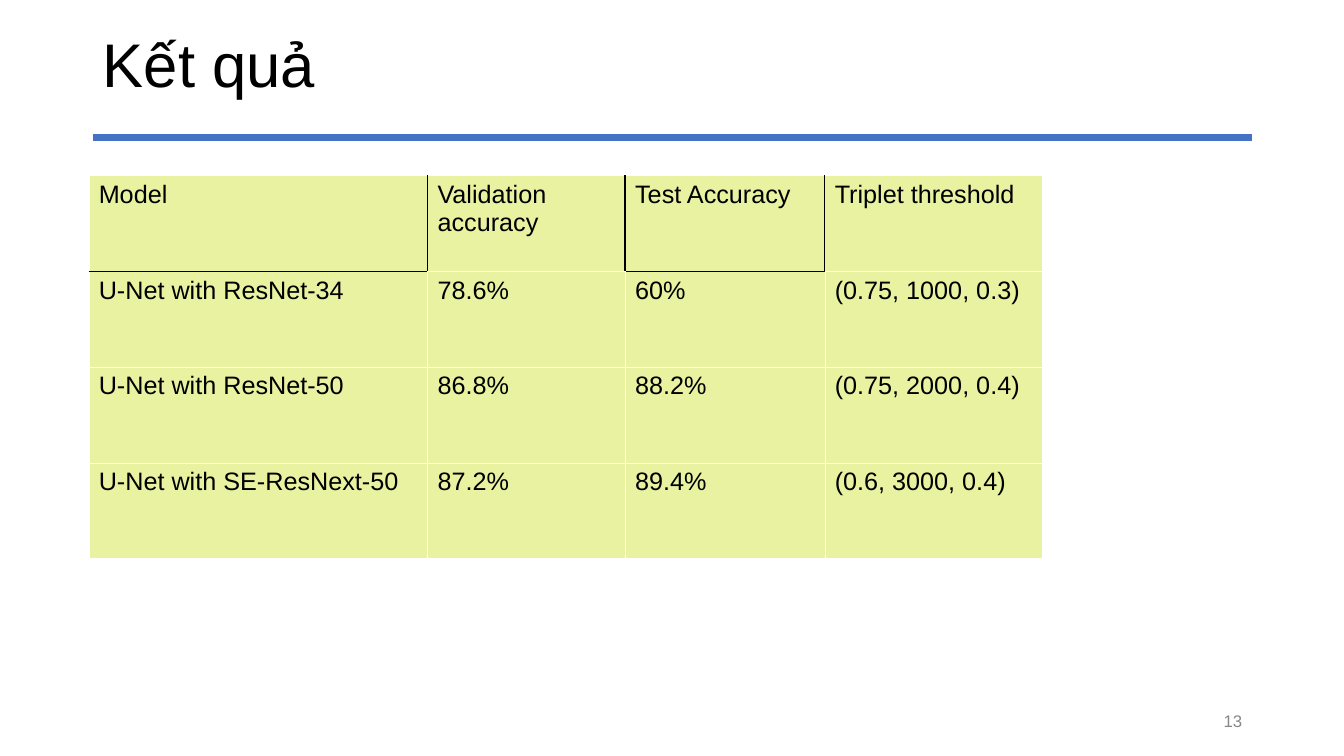
from lxml import etree
from pptx import Presentation
from pptx import util as u
from pptx.dml.color import RGBColor
from pptx.enum import shapes, text
from pptx.oxml import ns

COLORS = {"text": "000000", "rule": "4472C4", "cell": "E8F2A1",
          "border": "FFFFFF", "number": "888888"}
RESULTS = [
    ["Model", "Validation accuracy", "Test Accuracy", "Triplet threshold"],
    ["U-Net with ResNet-34", "78.6%", "60%", "(0.75, 1000, 0.3)"],
    ["U-Net with ResNet-50", "86.8%", "88.2%", "(0.75, 2000, 0.4)"],
    ["U-Net with SE-ResNext-50", "87.2%", "89.4%", "(0.6, 3000, 0.4)"],
]
COLUMN_WIDTHS = [3.36, 1.96, 1.98, 2.16]
ROW_HEIGHT = 0.95
DARK_EDGES = {(0, 0): "RB", (0, 1): "LR", (0, 2): "LRB", (0, 3): "L",
              (1, 0): "T", (1, 2): "T"}


class ResultsSlide:
    """Hold the style and the current slide, and add its elements."""

    def __init__(self, presentation):
        self.font = "Arial"
        self.slide = presentation.slides.add_slide(presentation.slide_layouts[5])

    def color(self, name):
        return RGBColor.from_string(COLORS[name])

    def set_text(self, frame, content, size, color="text"):
        frame.text = content
        frame.word_wrap = True
        paragraph = frame.paragraphs[0]
        for run in paragraph.runs:
            run.font.name = self.font
            run.font.size = u.Pt(size)
            run.font.bold = False
            run.font.color.rgb = self.color(color)
        return paragraph

    def title(self, content, left, top, width, height):
        shape = self.slide.shapes.title
        shape.left, shape.top = u.Inches(left), u.Inches(top)
        shape.width, shape.height = u.Inches(width), u.Inches(height)
        paragraph = self.set_text(shape.text_frame, content, 44)
        paragraph.alignment = text.PP_ALIGN.LEFT
        paragraph.line_spacing = 0.9
        shape.text_frame.vertical_anchor = text.MSO_ANCHOR.MIDDLE

    def rule(self, left, top, width):
        connector = self.slide.shapes.add_connector(
            shapes.MSO_CONNECTOR.STRAIGHT, u.Inches(left), u.Inches(top),
            u.Inches(left + width), u.Inches(top))
        connector.line.color.rgb = self.color("rule")
        connector.line.width = u.Pt(5)
        etree.SubElement(connector._element.spPr, ns.qn("a:effectLst"))

    def number(self, content, left, top, width, height):
        shape = self.slide.shapes.add_textbox(
            u.Inches(left), u.Inches(top), u.Inches(width), u.Inches(height))
        paragraph = self.set_text(shape.text_frame, content, 12, "number")
        paragraph.alignment = text.PP_ALIGN.RIGHT
        shape.text_frame.vertical_anchor = text.MSO_ANCHOR.MIDDLE

    def borders(self, cell, dark_edges):
        properties = cell._tc.get_or_add_tcPr()
        for edge in "LRTB":
            dark = edge in dark_edges
            line = etree.SubElement(properties, ns.qn(f"a:ln{edge}"),
                                    w=str(u.Pt(1 if dark else 0.06)))
            fill = etree.SubElement(line, ns.qn("a:solidFill"))
            etree.SubElement(fill, ns.qn("a:srgbClr"),
                             val=COLORS["text" if dark else "border"])

    def table(self, rows, widths, left, top):
        table = self.slide.shapes.add_table(
            len(rows), len(widths), u.Inches(left), u.Inches(top),
            u.Inches(sum(widths)), u.Inches(ROW_HEIGHT * len(rows))).table
        table.first_row = table.horz_banding = False
        for column, width in zip(table.columns, widths):
            column.width = u.Inches(width)
        for r, row in enumerate(rows):
            table.rows[r].height = u.Inches(ROW_HEIGHT)
            for c, content in enumerate(row):
                cell = table.cell(r, c)
                self.set_text(cell.text_frame, content, 18)
                self.borders(cell, DARK_EDGES.get((r, c), ""))
                cell.fill.solid()
                cell.fill.fore_color.rgb = self.color("cell")


def main():
    presentation = Presentation()
    presentation.slide_width = u.Inches(13.33)
    presentation.slide_height = u.Inches(7.5)
    results = ResultsSlide(presentation)
    results.rule(0.92, 1.36, 11.5)
    results.title("Kết quả", 0.92, 0, 6.89, 1.35)
    results.number("13", 9.42, 6.95, 3, 0.4)
    results.table(RESULTS, COLUMN_WIDTHS, 0.88, 1.74)
    presentation.save("out.pptx")


if __name__ == "__main__":
    main()
